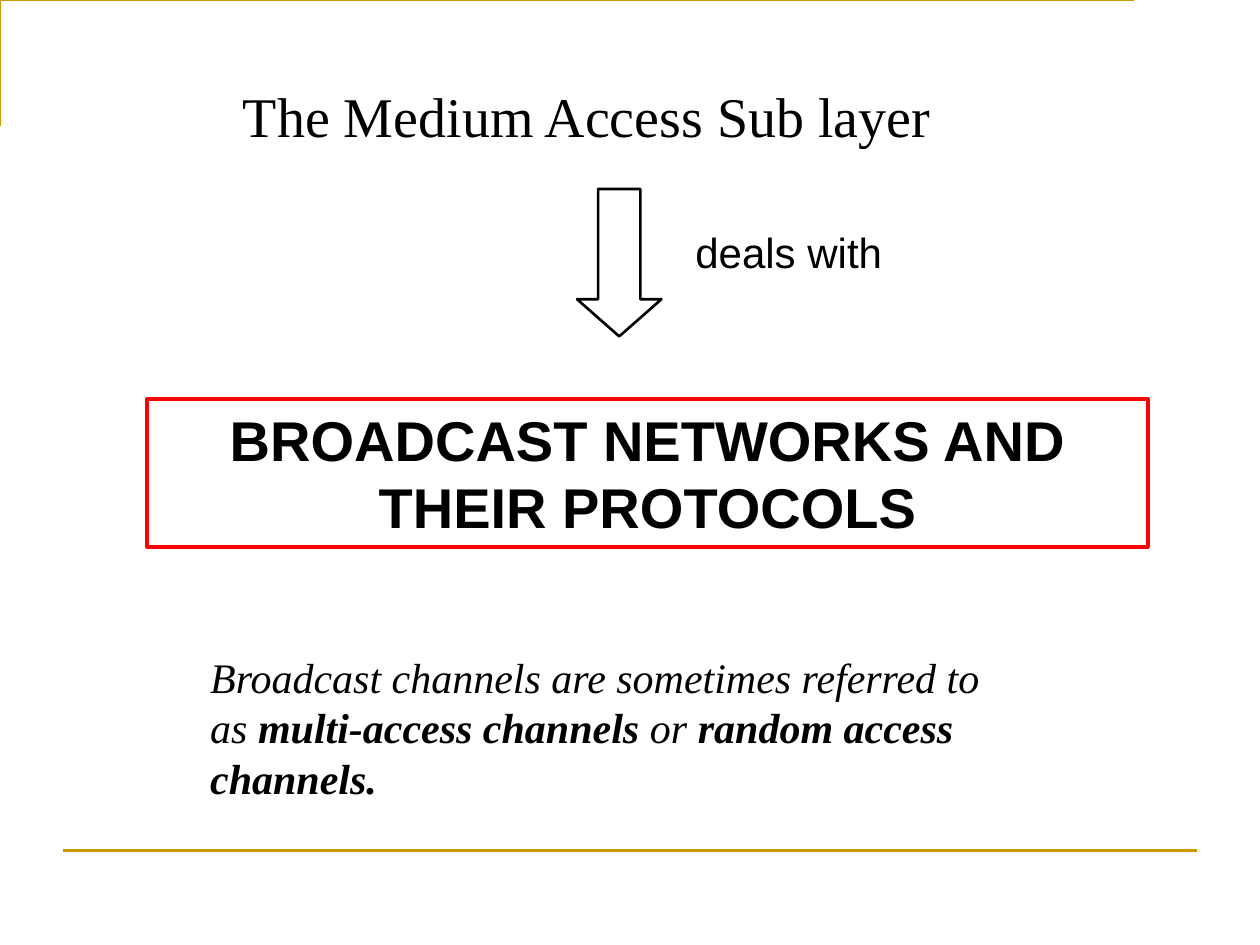
from lxml import etree
from pptx import Presentation
from pptx import util as u
from pptx.dml.color import RGBColor
from pptx.enum import shapes, text
from pptx.oxml.ns import qn

THEME = {
    "gold": "CC9900", "red": "FF0000", "ink": "000000", "paper": "FFFFFF",
    "sans": "Arial", "serif": "Times New Roman", "large": 32, "medium": 24,
}
WIDTH, HEIGHT = 10, 7.5

# Each run is (words, bold); "at" is left, top, width, height in inches.
TEXTS = [
    {"at": (1.83, 0.5, 7.67, 0.92), "font": "serif", "size": "large", "middle": True,
     "spacing": 0.8, "runs": [("The Medium Access Sub layer", False)]},
    {"at": (5.42, 1.75, 1.68, 0.5), "font": "sans", "size": "medium", "wrap": False,
     "runs": [("deals with", False)]},
    {"at": (1.17, 3.17, 7.94, 1.17), "font": "sans", "size": "large", "center": True,
     "border": "red", "runs": [("BROADCAST NETWORKS AND THEIR PROTOCOLS", True)]},
    {"at": (1.57, 5.12, 6.43, 1.3), "font": "serif", "size": "medium", "italic": True,
     "runs": [("Broadcast channels are sometimes referred to as ", False),
              ("multi-access channels", True), (" or ", False),
              ("random access channels.", True)]},
]
ARROW = (4.58, 1.5, 0.67, 1.17)
CORNER = [(0.42, 0.92), (0.42, 0.25), (9.42, 0.25)]
FOOT_Y, MARGIN = 0.9 * HEIGHT, 0.05 * WIDTH


def color(name):
    return RGBColor.from_string(THEME[name])


def inches(values):
    return [u.Inches(v) for v in values]


def outline(sp, name, width):
    sp.line.color.rgb = color(name)
    sp.line.width = u.Pt(width)


def add_rules(s):
    """Draw the gold corner at the top and the gold line at the foot."""
    builder = s.shapes.build_freeform(*CORNER[0], scale=u.Inches(1))
    builder.add_line_segments(CORNER[1:], close=False)
    corner = builder.convert_to_shape()
    corner.fill.background()
    corner.shadow.inherit = False
    foot = s.shapes.add_connector(
        shapes.MSO_CONNECTOR.STRAIGHT,
        *inches((MARGIN, FOOT_Y, WIDTH - MARGIN, FOOT_Y)))
    for sp in (corner, foot):
        outline(sp, "gold", 1.5)
    etree.SubElement(foot._element.spPr, qn("a:effectLst"))


def add_arrow(s):
    sp = s.shapes.add_shape(shapes.MSO_SHAPE.DOWN_ARROW, *inches(ARROW))
    sp.adjustments[1] = 0.44
    sp.shadow.inherit = False
    sp.fill.solid()
    sp.fill.fore_color.rgb = color("paper")
    outline(sp, "ink", 1.5)


def add_text(s, item):
    if "border" in item:
        sp = s.shapes.add_shape(shapes.MSO_SHAPE.RECTANGLE, *inches(item["at"]))
        sp.shadow.inherit = False
        sp.fill.background()
        outline(sp, item["border"], 2.25)
    else:
        sp = s.shapes.add_textbox(*inches(item["at"]))
    tf = sp.text_frame
    tf.word_wrap = item.get("wrap", True)
    middle = item.get("middle")
    tf.vertical_anchor = text.MSO_ANCHOR.MIDDLE if middle else text.MSO_ANCHOR.TOP
    if middle:
        tf.margin_top = tf.margin_bottom = 0
    p = tf.paragraphs[0]
    p.alignment = text.PP_ALIGN.CENTER if item.get("center") else text.PP_ALIGN.LEFT
    p.line_spacing = item.get("spacing")
    p.font.name = THEME[item["font"]]
    p.font.size = u.Pt(THEME[item["size"]])
    p.font.italic = item.get("italic", False)
    p.font.color.rgb = color("ink")
    for words, bold in item["runs"]:
        r = p.add_run()
        r.text = words
        r.font.bold = bold


def main():
    prs = Presentation()
    prs.slide_width, prs.slide_height = inches((WIDTH, HEIGHT))
    s = prs.slides.add_slide(prs.slide_layouts[6])
    add_rules(s)
    add_arrow(s)
    for item in TEXTS:
        add_text(s, item)
    prs.save("out.pptx")


if __name__ == "__main__":
    main()
